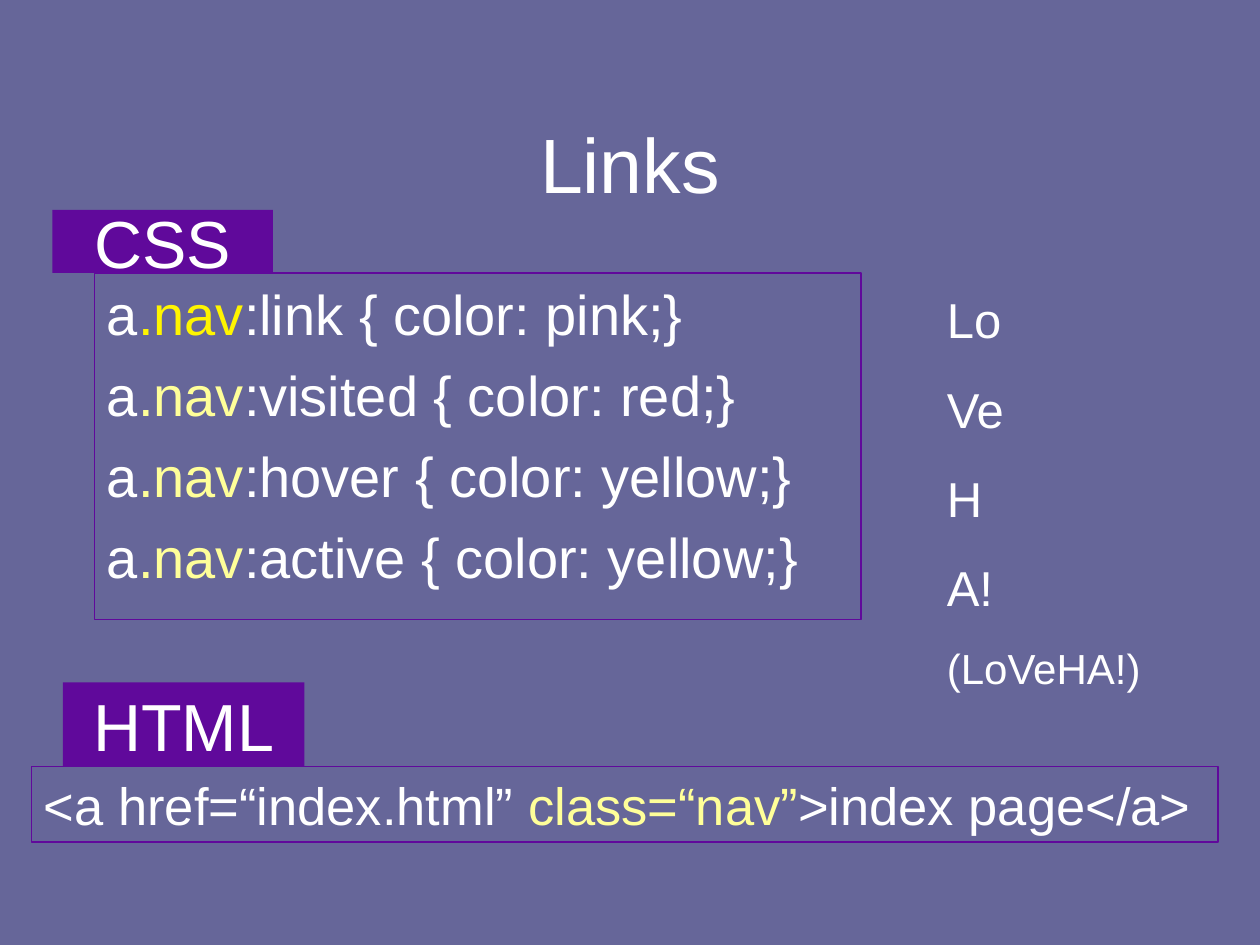
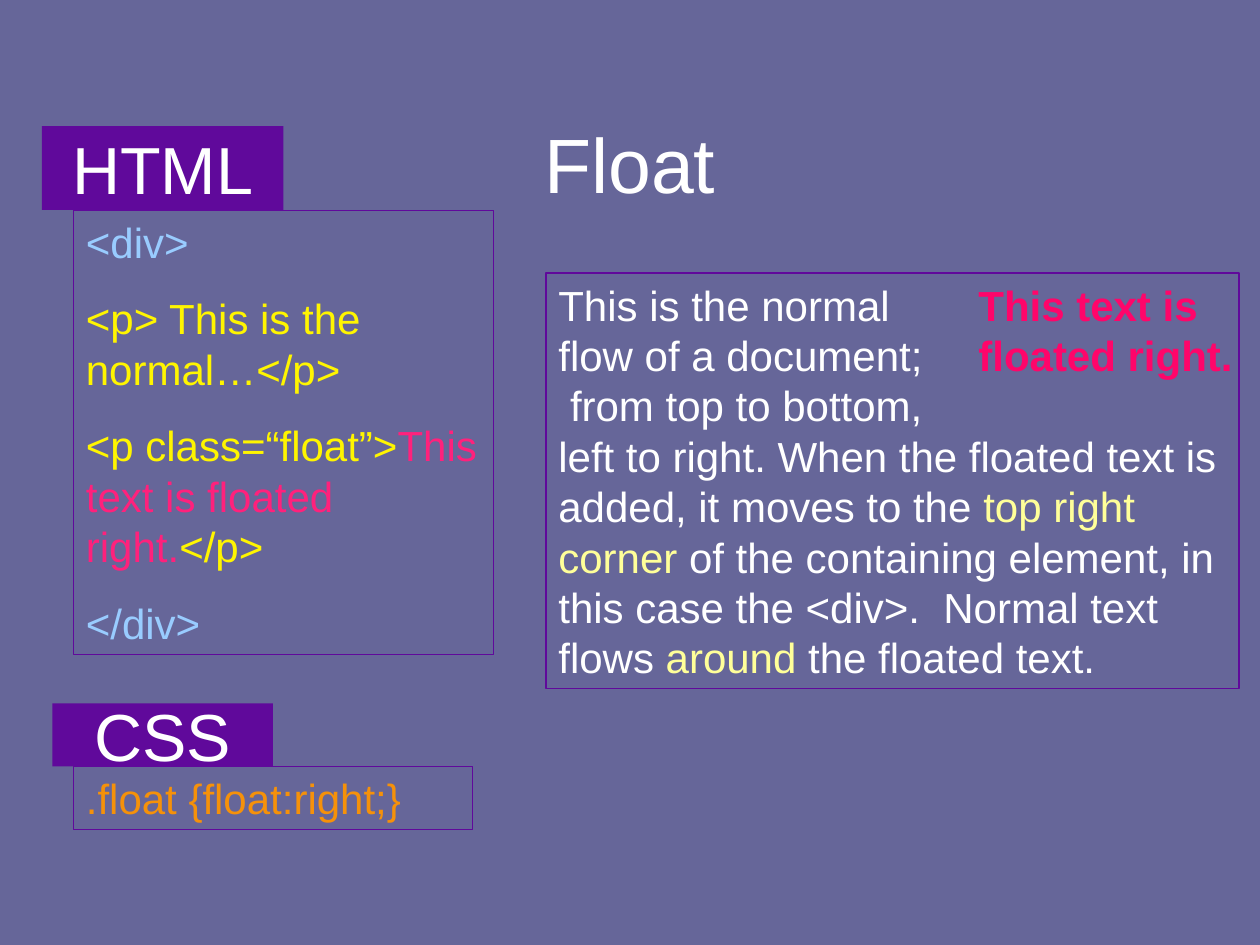
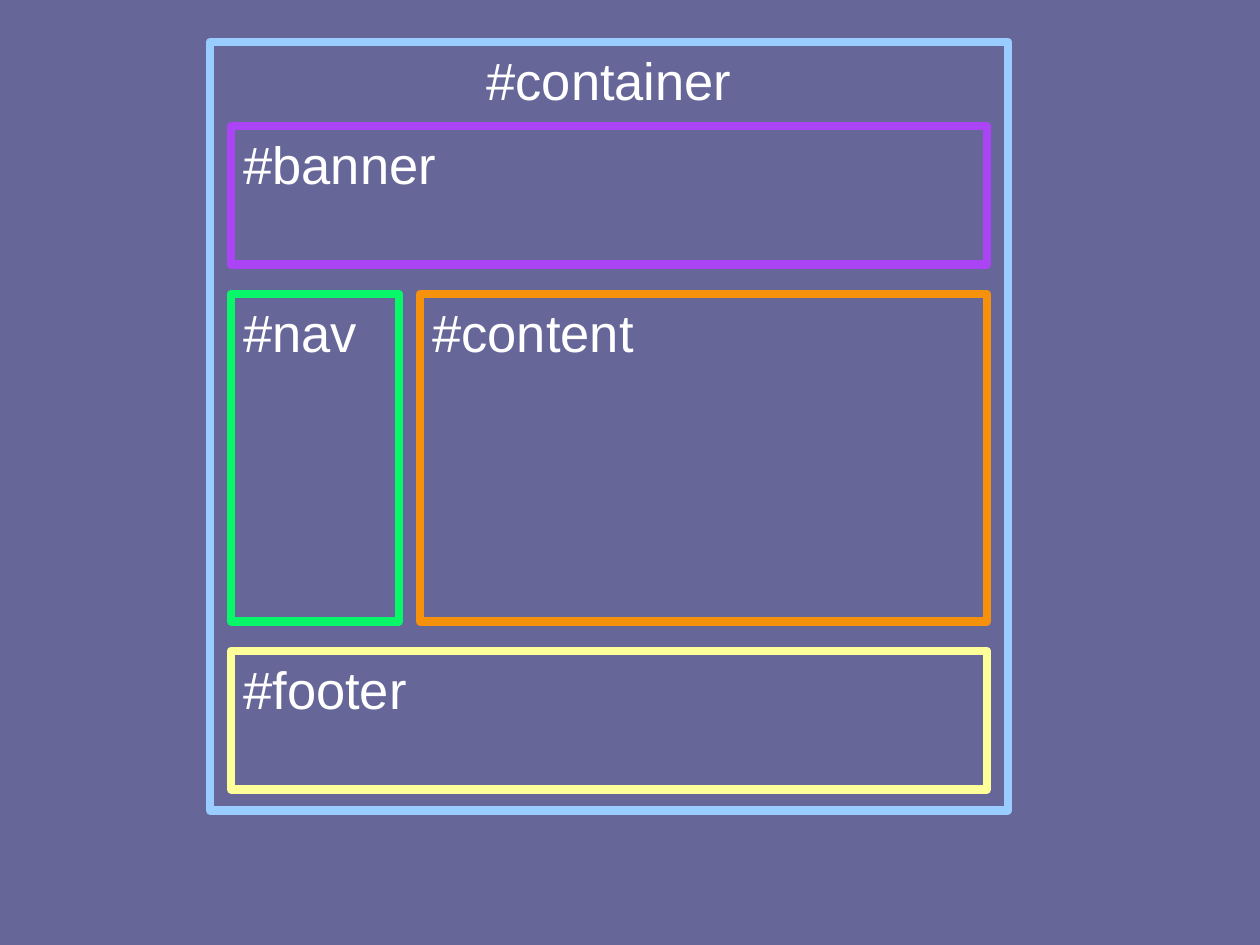
"""Build three slides on CSS links, floats and page layout."""
from pptx import Presentation
from pptx.dml.color import RGBColor
from pptx.enum.shapes import MSO_SHAPE as Shape
from pptx.enum.text import MSO_ANCHOR as Anchor, PP_ALIGN as Align
from pptx.util import Pt

SLATE = RGBColor(0x66, 0x66, 0x99)
PURPLE = RGBColor(0x60, 0x09, 0x9B)
WHITE = RGBColor(0xFF, 0xFF, 0xFF)
YELLOW = RGBColor(0xFF, 0xF5, 0x00)
CREAM = RGBColor(0xFF, 0xFF, 0x99)
SKY = RGBColor(0x99, 0xCC, 0xFF)
ORANGE = RGBColor(0xF5, 0x91, 0x0A)
PINK = RGBColor(0xFF, 0x21, 0x7C)
HOT_PINK = RGBColor(0xFF, 0x05, 0x6A)
VIOLET = RGBColor(0xAB, 0x44, 0xF4)
GREEN = RGBColor(0x07, 0xF7, 0x68)


class Deck:
    """Hold the shared style and the current slide."""

    font = "Arial"
    leading = 1.2
    label_sizes = {"HTML": (138, 48), "CSS": (126, 36)}

    def __init__(self):
        """Start an empty 10 by 7.5 inch presentation."""
        self.show = Presentation()
        self.show.slide_width, self.show.slide_height = Pt(720), Pt(540)

    def new_slide(self):
        """Add a blank slide with the shared background."""
        self.slide = self.show.slides.add_slide(self.show.slide_layouts[6])
        background = self.slide.background.fill
        background.solid()
        background.fore_color.rgb = SLATE

    def fill_text(self, holder, lines, size, color=WHITE, before=0, align=Align.LEFT,
                  anchor=Anchor.TOP, bold=False):
        """Fill a shape with lines, each a string or a list of (text, colour)."""
        frame = holder.text_frame
        frame.word_wrap = True
        frame.vertical_anchor = anchor
        for index, line in enumerate(lines):
            paragraph = frame.add_paragraph() if index else frame.paragraphs[0]
            paragraph.alignment = align
            paragraph.space_before = Pt(before)
            paragraph.line_spacing = Pt(round(size * self.leading, 2))
            font = paragraph.font
            font.name, font.size, font.bold = self.font, Pt(size), bold
            font.color.rgb = color
            for text, tint in [(line, color)] if isinstance(line, str) else line:
                run = paragraph.add_run()
                run.text = text
                run.font.color.rgb = tint
        return frame

    def text(self, box, lines, size, **style):
        """Add plain text."""
        holder = self.slide.shapes.add_textbox(*map(Pt, box))
        return self.fill_text(holder, lines, size, **style)

    def title(self, text):
        """Add the centred slide title."""
        self.text((54, 48, 612, 90), [text], 44, align=Align.CENTER, anchor=Anchor.MIDDLE)

    def rectangle(self, box):
        """Add a rectangle without shadow."""
        shape = self.slide.shapes.add_shape(Shape.RECTANGLE, *map(Pt, box))
        shape.shadow.inherit = False
        return shape

    def label(self, language, left, bottom):
        """Add a purple language label standing on the top of its code."""
        width, height = self.label_sizes[language]
        shape = self.rectangle((left, bottom - height, width, height))
        shape.fill.solid()
        shape.fill.fore_color.rgb = PURPLE
        shape.line.fill.background()
        self.fill_text(shape, [language], 38, align=Align.CENTER, anchor=Anchor.MIDDLE)

    def outlined(self, box, lines, size, weight, border=PURPLE, **style):
        """Add text in an outlined box."""
        shape = self.rectangle(box)
        shape.fill.background()
        shape.line.color.rgb = border
        shape.line.width = Pt(weight)
        self.fill_text(shape, lines, size, **style)


def links(deck):
    """Show the four link states and the class that uses them."""
    deck.new_slide()
    deck.title("Links")
    states = [("link", "pink", YELLOW), ("visited", "red", CREAM),
              ("hover", "yellow", CREAM), ("active", "yellow", CREAM)]
    rules = [[("a", WHITE), (".nav", tint), (f":{state} {{ color: {color};}}", WHITE)]
             for state, color, tint in states]
    deck.outlined((54, 156, 438, 198), rules, 32, 1, before=8)
    anchor_tag = [("<a href=“index.html” ", WHITE), ("class=“nav”", CREAM),
                  (">index page</a>", WHITE)]
    deck.outlined((18, 438, 678, 43), [anchor_tag], 30, 1, before=18.7)
    deck.label("HTML", 36, 438)
    deck.label("CSS", 30, 156)
    mnemonic = deck.text((534, 162, 144, 238), ["Lo", "Ve", "H", "A!", "(LoVeHA!)"], 28,
                         before=17.5)
    summary = mnemonic.paragraphs[-1]
    summary.font.size, summary.space_before = Pt(24), Pt(15)
    summary.line_spacing = Pt(24 * deck.leading)


def floating(deck):
    """Show floated text with its markup and style rule."""
    deck.new_slide()
    deck.title("Float")
    flow = ["This is the normal", "flow of a document;", " from top to bottom,",
            [("left to right. When the floated text is added, it moves to the ", WHITE),
             ("top right corner", CREAM),
             (" of the containing element, in this case the <div>.  Normal text flows ", WHITE),
             ("around", CREAM), (" the floated text.", WHITE)]]
    deck.outlined((312, 156, 396, 237.6), flow, 24, 0.75)
    floated = "This text is floated right."
    deck.text((552, 156, 168, 65), [floated], 24, color=HOT_PINK, before=15, bold=True)
    markup = [[("<div>", SKY)], "<p> This is the normal…</p>",
              [("<p class=“float”>", YELLOW), (floated, PINK), ("</p>", YELLOW)],
              [("</div>", SKY)]]
    deck.outlined((42, 120, 240, 254), markup, 24, 0.5, color=YELLOW, before=15)
    deck.outlined((42, 438, 228, 36), [".float {float:right;}"], 24, 0.25, color=ORANGE,
                  before=15)
    deck.label("HTML", 24, 120)
    deck.label("CSS", 30, 438)


def layout(deck):
    """Show the page regions as nested boxes."""
    deck.new_slide()
    regions = [("#container", (120, 24, 456, 439), SKY, Align.CENTER),
               ("#banner", (132, 72, 432, 79), VIOLET, Align.LEFT),
               ("#nav", (132, 168, 96, 187), GREEN, Align.LEFT),
               ("#content", (240, 168, 324, 187), ORANGE, Align.LEFT),
               ("#footer", (132, 372, 432, 79), CREAM, Align.LEFT)]
    for region, box, border, align in regions:
        deck.outlined(box, [region], 30, 5, border=border, align=align)


def main():
    """Build and save the slides."""
    deck = Deck()
    for build in (links, floating, layout):
        build(deck)
    deck.show.save("out.pptx")


if __name__ == "__main__":
    main()
